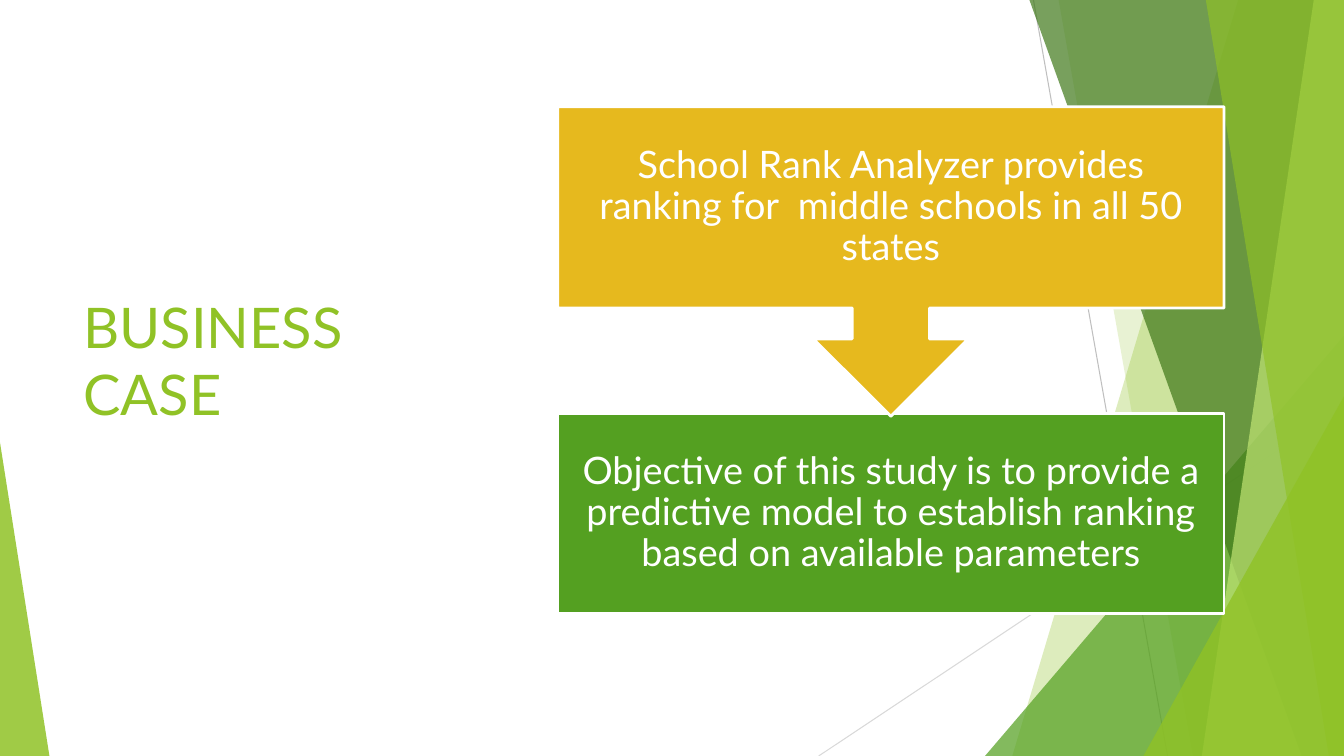
"""Build the business case slide with its faceted green backdrop."""
from dataclasses import dataclass

from lxml.etree import SubElement
from pptx import Presentation
from pptx.dml.color import RGBColor
from pptx.enum.shapes import MSO_CONNECTOR, MSO_SHAPE
from pptx.enum.text import MSO_ANCHOR, PP_ALIGN
from pptx.oxml.ns import qn
from pptx.shapes.autoshape import Shape
from pptx.slide import Slide
from pptx.util import Inches, Pt

WIDTH, HEIGHT = 13.33, 7.5
FONT = "Lato"
LIME, GREEN, GOLD, WHITE = "90C226", "54A021", "E6B91E", "FFFFFF"


@dataclass(frozen=True)
class Box:
    left: float
    top: float
    width: float
    height: float


@dataclass(frozen=True)
class Ray:
    start: tuple[float, float]
    end: tuple[float, float]
    color: str


@dataclass(frozen=True)
class Band:
    """A full-height facet reaching the right edge, slanted on its left."""
    top_left: float
    bottom_left: float
    color: str
    opacity: int


@dataclass(frozen=True)
class Wedge:
    """A triangle with its peak at a fraction of its width."""
    box: Box
    peak: float
    color: str
    opacity: int


@dataclass(frozen=True)
class Step:
    text: str
    preset: MSO_SHAPE
    shape_box: Box
    text_box: Box
    rotation: int
    color: str


RAYS = [
    Ray((10.25, 0), (11.58, HEIGHT), "BFBFBF"),
    Ray((WIDTH, 4.03), (8.12, HEIGHT), "D9D9D9"),
]
FACETS: list[Band | Wedge] = [
    Band(12.28, 10.04, LIME, 30),
    Band(10.5, 11.83, LIME, 20),
    Wedge(Box(9.77, 3.33, 3.56, 4.17), 1, GREEN, 72),
    Band(10.21, 12.91, "3F7819", 70),
    Band(13.03, 11.92, "C0E474", 70),
    Band(11.96, 13.18, LIME, 65),
    Wedge(Box(11.34, 3.93, 1.99, 3.57), 1, LIME, 80),
    Wedge(Box(0, 4.39, 0.49, 3.11), 0, LIME, 85),
]
TITLE_BOX = Box(0.73, 1.56, 3.31, 4.02)
OBJECTIVE_BOX = Box(5.53, 4.1, 6.61, 1.99)
STEPS = [
    Step("Objective of this study is to provide a predictive model to establish "
         "ranking based on available parameters",
         MSO_SHAPE.RECTANGLE, OBJECTIVE_BOX, OBJECTIVE_BOX, 0, GREEN),
    Step("School Rank Analyzer provides ranking for  middle schools in all 50 states",
         MSO_SHAPE.UP_ARROW_CALLOUT, Box(5.53, 1.06, 6.61, 3.07),
         Box(5.53, 1.06, 6.61, 1.99), 180, GOLD),
]


def rgb(color: str) -> RGBColor:
    return RGBColor.from_string(color)


def place(box: Box) -> tuple[Inches, Inches, Inches, Inches]:
    return Inches(box.left), Inches(box.top), Inches(box.width), Inches(box.height)


def paint(shape: Shape, color: str) -> None:
    shape.shadow.inherit = False
    shape.fill.solid()
    shape.fill.fore_color.rgb = rgb(color)


def draw_ray(slide: Slide, ray: Ray) -> None:
    ends = [Inches(value) for value in (*ray.start, *ray.end)]
    connector = slide.shapes.add_connector(MSO_CONNECTOR.STRAIGHT, *ends)
    connector.line.color.rgb = rgb(ray.color)
    connector.line.width = Pt(0.75)
    SubElement(connector._element.spPr, qn("a:effectLst"))


def draw_facet(slide: Slide, facet: Band | Wedge) -> None:
    if isinstance(facet, Band):
        builder = slide.shapes.build_freeform(
            Inches(facet.top_left), 0)
        corners = [(WIDTH, 0), (WIDTH, HEIGHT), (facet.bottom_left, HEIGHT)]
        builder.add_line_segments([(Inches(x), Inches(y)) for x, y in corners])
        shape = builder.convert_to_shape()
    else:
        shape = slide.shapes.add_shape(MSO_SHAPE.ISOSCELES_TRIANGLE, *place(facet.box))
        shape.adjustments[0] = facet.peak
    paint(shape, facet.color)
    shape.line.fill.background()
    color_element = shape._element.spPr.find(f"{qn('a:solidFill')}/{qn('a:srgbClr')}")
    SubElement(color_element, qn("a:alpha"), val=str(facet.opacity * 1000))


def add_text(slide: Slide, box: Box, text: str, size: int, color: str,
             alignment: PP_ALIGN, line_spacing: float, inset: float) -> None:
    frame = slide.shapes.add_textbox(*place(box)).text_frame
    frame.word_wrap = True
    frame.vertical_anchor = MSO_ANCHOR.MIDDLE
    frame.margin_left = frame.margin_right = Inches(inset)
    frame.margin_top = frame.margin_bottom = Inches(inset)
    paragraph = frame.paragraphs[0]
    paragraph.text = text
    paragraph.alignment = alignment
    paragraph.line_spacing = line_spacing
    paragraph.font.name = FONT
    paragraph.font.size = Pt(size)
    paragraph.font.color.rgb = rgb(color)


def draw_step(slide: Slide, step: Step) -> None:
    shape = slide.shapes.add_shape(step.preset, *place(step.shape_box))
    shape.rotation = step.rotation
    paint(shape, step.color)
    shape.line.color.rgb = rgb(WHITE)
    shape.line.width = Pt(2)
    add_text(slide, step.text_box, step.text, 27, WHITE, PP_ALIGN.CENTER, 0.9, 0.21)


def main() -> None:
    presentation = Presentation()
    presentation.slide_width = Inches(WIDTH)
    presentation.slide_height = Inches(HEIGHT)
    slide = presentation.slides.add_slide(presentation.slide_layouts[6])
    for ray in RAYS:
        draw_ray(slide, ray)
    for facet in FACETS:
        draw_facet(slide, facet)
    add_text(slide, TITLE_BOX, "BUSINESS CASE", 40, LIME, PP_ALIGN.LEFT, 1.0, 0.1)
    for step in STEPS:
        draw_step(slide, step)
    presentation.save("out.pptx")


if __name__ == "__main__":
    main()
